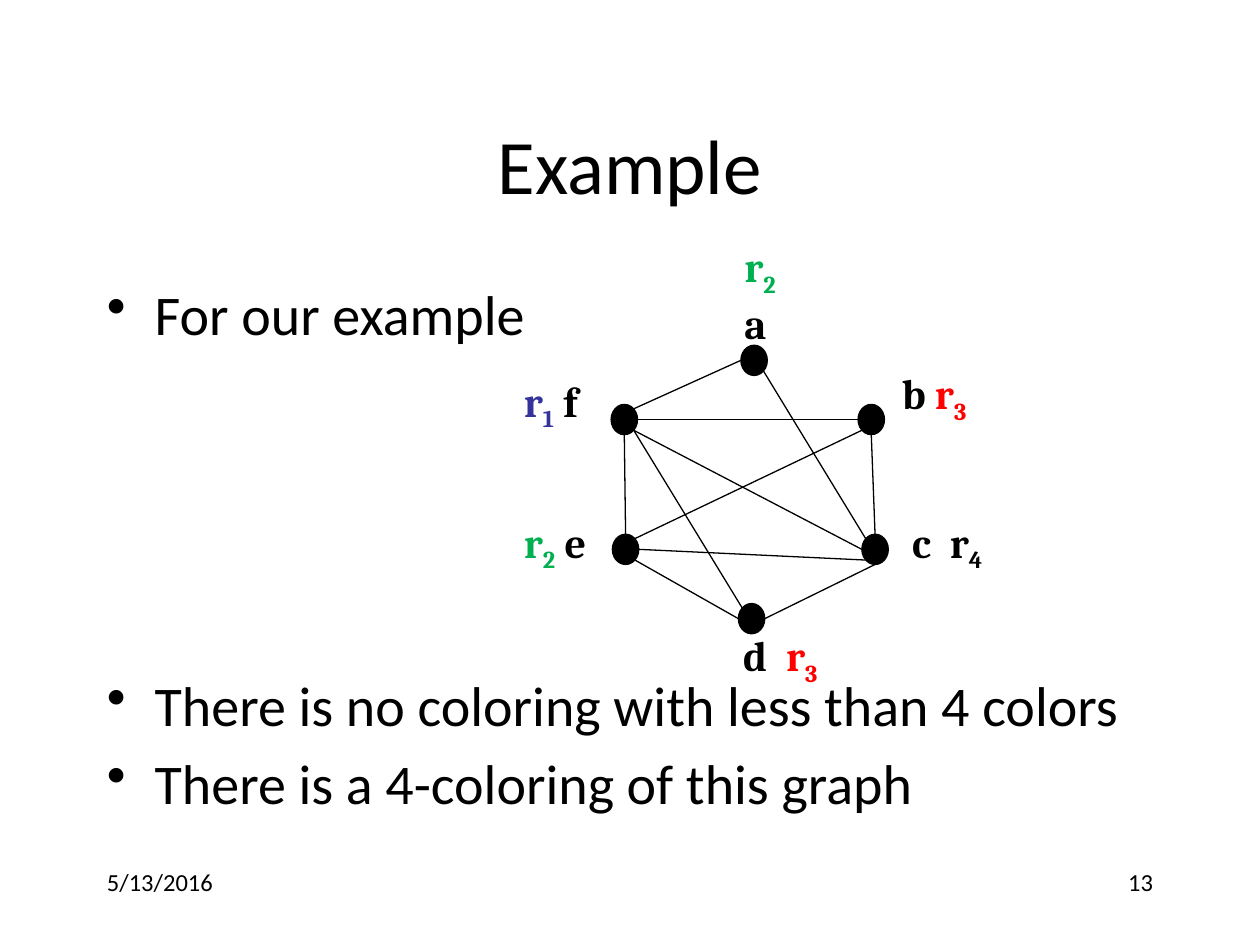
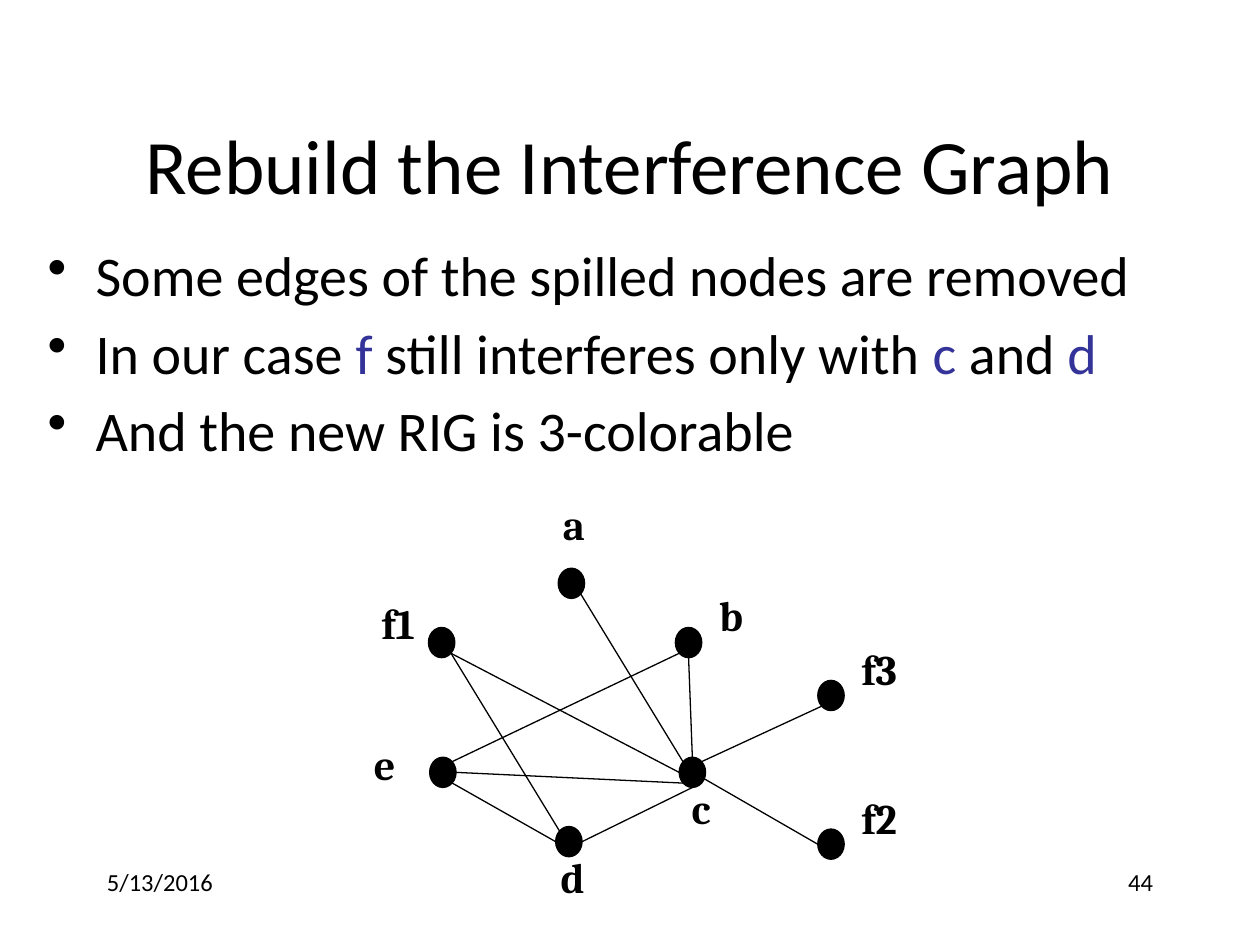
from dataclasses import dataclass

from lxml import etree
from pptx import Presentation
from pptx.dml.color import RGBColor
from pptx.enum.shapes import MSO_CONNECTOR, MSO_SHAPE
from pptx.enum.text import MSO_ANCHOR, PP_ALIGN
from pptx.oxml.ns import qn
from pptx.util import Pt

PX = 9144  # 100 px to the inch
LEFT, CENTER, RIGHT = PP_ALIGN.LEFT, PP_ALIGN.CENTER, PP_ALIGN.RIGHT
TOP, MIDDLE = MSO_ANCHOR.TOP, MSO_ANCHOR.MIDDLE
OVAL, STRAIGHT = MSO_SHAPE.OVAL, MSO_CONNECTOR.STRAIGHT


@dataclass(frozen=True)
class Theme:
    black: RGBColor = RGBColor(0x00, 0x00, 0x00)
    blue: RGBColor = RGBColor(0x33, 0x33, 0x99)
    green: RGBColor = RGBColor(0x00, 0xB0, 0x50)
    red: RGBColor = RGBColor(0xFF, 0x00, 0x00)
    text_font: str = "Calibri"
    label_font: str = "Cambria"
    title_size: int = 44
    body_size: int = 32
    label_size: int = 24
    footer_size: int = 14
    line_width: float = 0.75
    bullet_gap: int = 6
    bullet_indent: int = 38


theme = Theme()


def add_text(page, area, paragraphs, size, font=theme.text_font, align=LEFT,
             anchor=TOP, bullets=False, tab=0):
    """Write paragraphs, each a list of spans: (text, colour[, subscript])."""
    box = page.shapes.add_textbox(*(length * PX for length in area))
    frame = box.text_frame
    frame.word_wrap = True
    frame.vertical_anchor = anchor
    for index, spans in enumerate(paragraphs):
        para = frame.add_paragraph() if index else frame.paragraphs[0]
        para.alignment = align
        properties = para._p.get_or_add_pPr()
        if bullets:
            properties.set("marL", str(theme.bullet_indent * PX))
            properties.set("indent", str(-theme.bullet_indent * PX))
            etree.SubElement(properties, qn("a:buChar"), char="•")
            if index:
                para.space_before = Pt(theme.bullet_gap)
        if tab:
            tabs = etree.SubElement(properties, qn("a:tabLst"))
            etree.SubElement(tabs, qn("a:tab"), pos=str(tab * PX), algn="l")
        for text, colour, *subscript in spans:
            span = para.add_run()
            span.text = text
            span.font.name = font
            span.font.size = Pt(size)
            span.font.bold = font == theme.label_font
            span.font.color.rgb = colour
            if subscript:
                span._r.get_or_add_rPr().set("baseline", "-25000")
    return box


# Graph geometry: nodes by top-left corner, compass sites in node radii
NODE_WIDTH, NODE_HEIGHT = 21, 24
DIAGONAL = 0.71
SITES = {
    "N": (0, -1), "S": (0, 1), "W": (-1, 0), "E": (1, 0),
    "NW": (-DIAGONAL, -DIAGONAL), "NE": (DIAGONAL, -DIAGONAL),
    "SW": (-DIAGONAL, DIAGONAL), "SE": (DIAGONAL, DIAGONAL),
    "ESE": (DIAGONAL, 0.33),
}


def site_point(nodes, name, site):
    """Return the EMU position of a site on the rim of a node."""
    left, top = nodes[name]
    across, down = SITES[site]
    return (round((left + NODE_WIDTH / 2 * (1 + across)) * PX),
            round((top + NODE_HEIGHT / 2 * (1 + down)) * PX))


full_nodes = {"a": (588, 274), "b": (681, 321), "c": (684, 424),
              "d": (586, 479), "f": (485, 321), "e": (486, 424)}
kept_edges = [
    ("d", "NW", "f", "SE"), ("d", "W", "e", "SE"), ("a", "SE", "c", "NW"),
    ("c", "W", "f", "SE"), ("b", "S", "c", "N"), ("c", "SW", "e", "E"),
    ("c", "S", "d", "E"), ("b", "SW", "e", "NE"),
]
removed_edges = [("a", "W", "f", "NE"), ("e", "N", "f", "S"), ("b", "W", "f", "E")]
spill_edges = [("f3", "SW", "c", "NE"), ("f2", "W", "c", "ESE")]

SHIFT_X, SHIFT_Y = -145, 177
split_nodes = {name: (left + SHIFT_X, top + SHIFT_Y)
               for name, (left, top) in full_nodes.items()}
split_nodes |= {"f3": (649, 540), "f2": (649, 658)}

# Labels: area, paragraphs, tab stop
black, blue, green, red = theme.black, theme.blue, theme.green, theme.red
register_1 = [("r", blue), ("1", blue, True)]
register_2 = [("r", green), ("2", green, True)]
register_3 = [("r", red), ("3", red, True)]
register_4 = [("r", black), ("4", black, True)]
full_labels = [
    ((581, 186, 54, 91), [register_2, [("a", black)]], 0),
    ((706, 287, 86, 50), [[("b ", black), *register_3]], 0),
    ((714, 405, 101, 50), [[("c\t", black), *register_4]], 30),
    ((580, 495, 101, 50), [[("d\t", black), *register_3]], 34),
    ((406, 293, 92, 50), [[*register_1, (" f", black)]], 0),
    ((406, 405, 84, 50), [[*register_2, (" e", black)]], 0),
]
split_places = {
    "a": (437, 391, 54), "b": (561, 463, 86), "c": (539, 616, 101),
    "d": (435, 671, 101), "f1": (293, 469, 92), "e": (287, 581, 84),
    "f3": (674, 506, 86), "f2": (674, 624, 86),
}
split_labels = [((left, top, width, 50), [[(name, black)]], 0)
                for name, (left, top, width) in split_places.items()]

# Page contents; wide_gap is the space in points that the graph takes in the list
pages = [
    dict(title="Example", number="13", area=(75, 217, 866, 450), wide_gap=185,
         bullets=[[("For our example", black)],
                  [("There is no coloring with less than 4 colors", black)],
                  [("There is a 4-coloring of this graph", black)]],
         nodes=full_nodes, labels=full_labels, edges=kept_edges + removed_edges),
    dict(title="Rebuild the Interference Graph", number="44",
         area=(28, 186, 921, 450), wide_gap=theme.bullet_gap,
         bullets=[[("Some edges of the spilled nodes are removed", black)],
                  [("In our case ", black), ("f", blue),
                   (" still interferes only with ", black), ("c", blue),
                   (" and ", black), ("d", blue)],
                  [("And the new RIG is 3-colorable", black)]],
         nodes=split_nodes, labels=split_labels, edges=kept_edges + spill_edges),
]

deck = Presentation()
deck.slide_width, deck.slide_height = 1000 * PX, 750 * PX

for content in pages:
    page = deck.slides.add_slide(deck.slide_layouts[6])

    # Title, list and footer
    add_text(page, (75, 67, 850, 125), [[(content["title"], black)]],
             theme.title_size, align=CENTER, anchor=MIDDLE)
    body = add_text(page, content["area"], content["bullets"],
                    theme.body_size, bullets=True)
    body.text_frame.paragraphs[1].space_before = Pt(content["wide_gap"])
    add_text(page, (75, 683, 208, 50), [[("5/13/2016", black)]], theme.footer_size)
    add_text(page, (717, 683, 208, 50), [[(content["number"], black)]],
             theme.footer_size, align=RIGHT)

    # Graph nodes
    for left, top in content["nodes"].values():
        node = page.shapes.add_shape(OVAL, left * PX, top * PX,
                                     NODE_WIDTH * PX, NODE_HEIGHT * PX)
        node.shadow.inherit = False
        node.fill.solid()
        node.fill.fore_color.rgb = black
        node.line.color.rgb = black
        node.line.width = Pt(theme.line_width)

    # Node labels
    for area, paragraphs, tab in content["labels"]:
        add_text(page, area, paragraphs, theme.label_size, theme.label_font, tab=tab)

    # Graph edges
    for start, start_site, end, end_site in content["edges"]:
        edge = page.shapes.add_connector(
            STRAIGHT, *site_point(content["nodes"], start, start_site),
            *site_point(content["nodes"], end, end_site))
        edge.line.color.rgb = black
        edge.line.width = Pt(theme.line_width)
        etree.SubElement(edge._element.spPr, qn("a:effectLst"))

deck.save("out.pptx")
